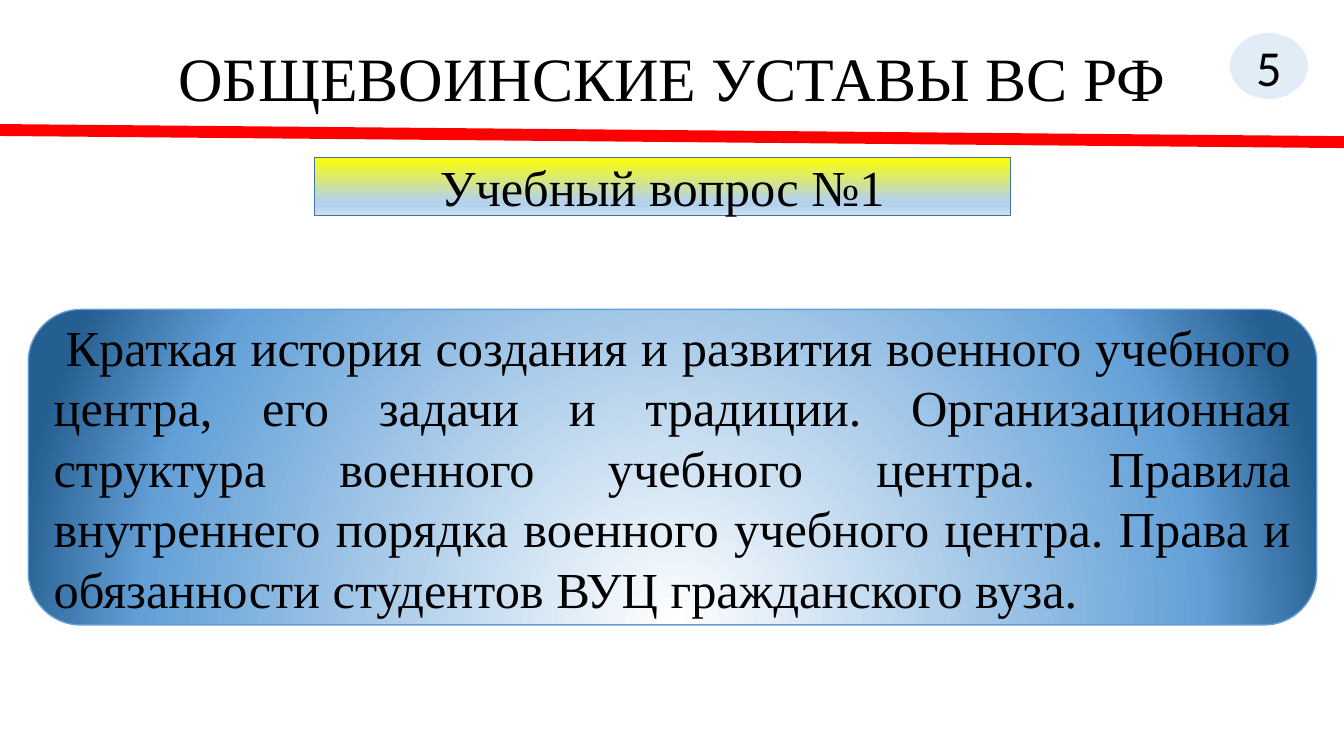
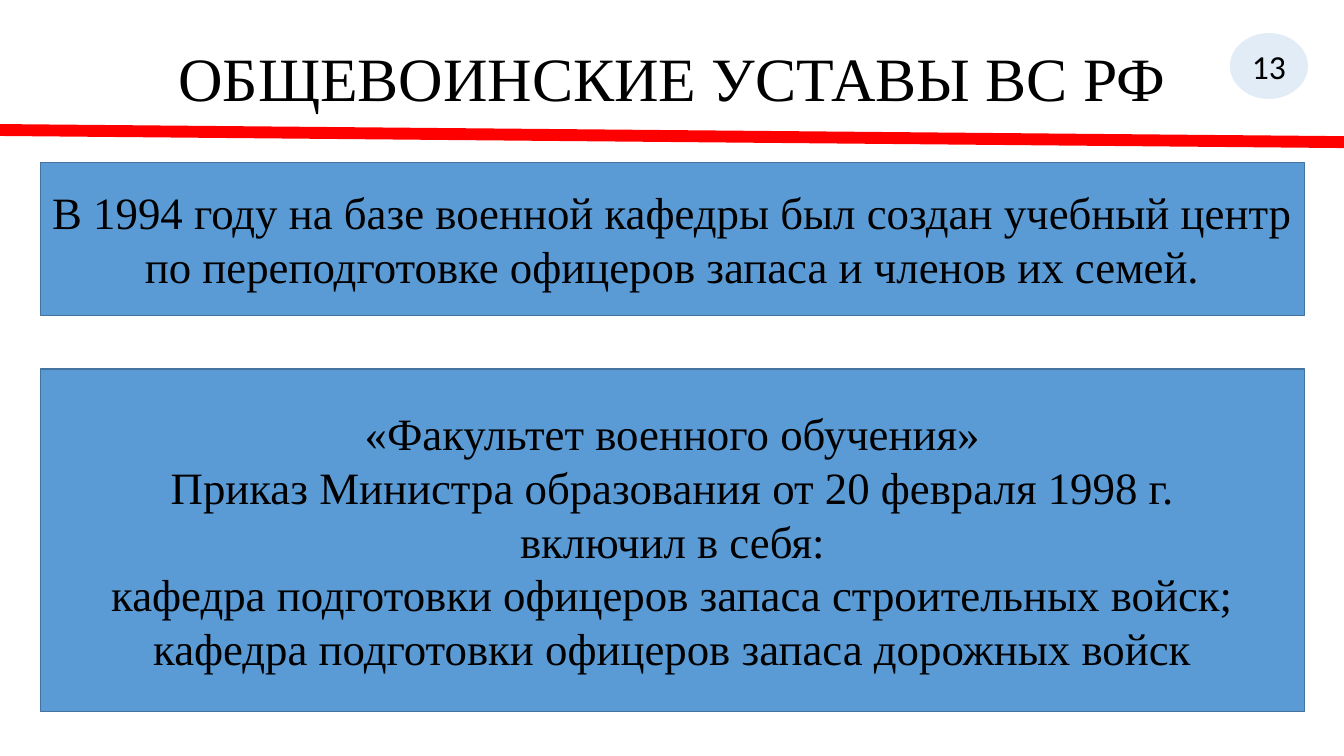
import pptx
import pptx.util
import pptx.dml.color
import pptx.enum.shapes
import pptx.enum.text
import pptx.oxml
import pptx.oxml.ns

Inches, Pt = pptx.util.Inches, pptx.util.Pt
RGBColor = pptx.dml.color.RGBColor
SHAPE = pptx.enum.shapes.MSO_SHAPE
ALIGN = pptx.enum.text.PP_ALIGN
MIDDLE = pptx.enum.text.MSO_ANCHOR.MIDDLE
qn = pptx.oxml.ns.qn

# Shared style
BLACK = RGBColor(0x00, 0x00, 0x00)
WHITE = RGBColor(0xFF, 0xFF, 0xFF)
RED = RGBColor(0xFF, 0x00, 0x00)
YELLOW = RGBColor(0xFF, 0xFF, 0x00)
BLUE = RGBColor(0x5B, 0x9B, 0xD5)
EDGE = RGBColor(0x43, 0x73, 0x9E)
SKY = RGBColor(0x63, 0xA0, 0xD7)
PALE = RGBColor(0xB5, 0xD2, 0xEC)
MIST = RGBColor(0xCE, 0xE1, 0xF2)
NAVY = RGBColor(0x25, 0x5E, 0x91)
SERIF, SANS = "Times New Roman", "Calibri"
TITLE = "ОБЩЕВОИНСКИЕ УСТАВЫ ВС РФ"

DOWNWARD = '<a:lin ang="5400000" scaled="0"/>'
RADIAL = ('<a:path path="circle"><a:fillToRect l="50000" t="130000" '
          'r="50000" b="-30000"/></a:path>')


class Deck:
    def __init__(self):
        self.prs = pptx.Presentation()
        self.prs.slide_width = Inches(13.33)
        self.prs.slide_height = Inches(7.5)
        self.s = None

    def slide(self, number, number_size):
        """Start a slide with its title, red rule and number badge."""
        self.s = self.prs.slides.add_slide(self.prs.slide_layouts[6])
        title = self.s.shapes.add_textbox(
            Inches(0.92), Inches(0.4), Inches(11.5), Inches(0.82))
        self.text(title, [TITLE], 44, line_spacing=0.9)
        self.rule()
        badge = self.box(SHAPE.OVAL, 12.19, 0.32, 0.79, 0.67, line=WHITE)
        color = badge._element.spPr.find(qn("a:solidFill"))[0]
        color.append(pptx.oxml.parse_xml(
            f'<a:alpha {pptx.oxml.ns.nsdecls("a")} val="18000"/>'))
        self.text(badge, [str(number)], number_size, font=SANS)

    def rule(self):
        line = self.s.shapes.add_connector(
            pptx.enum.shapes.MSO_CONNECTOR.STRAIGHT,
            0, Inches(1.29), Inches(13.33), Inches(1.41))
        line.line.color.rgb = RED
        line.line.width = Pt(8.5)
        line._element.spPr.append(pptx.oxml.parse_xml(
            f'<a:effectLst {pptx.oxml.ns.nsdecls("a")}/>'))

    def box(self, kind, x, y, w, h, line=EDGE):
        sp = self.s.shapes.add_shape(
            kind, Inches(x), Inches(y), Inches(w), Inches(h))
        sp.shadow.inherit = False
        sp.fill.solid()
        sp.fill.fore_color.rgb = BLUE
        sp.line.color.rgb = line
        sp.line.width = Pt(1)
        return sp

    def gradient(self, sp, stops, direction):
        gs = "".join(f'<a:gs pos="{pos * 1000}"><a:srgbClr val="{rgb}"/></a:gs>'
                     for pos, rgb in stops)
        spPr = sp._element.spPr
        spPr.replace(spPr.find(qn("a:solidFill")), pptx.oxml.parse_xml(
            f'<a:gradFill {pptx.oxml.ns.nsdecls("a")} rotWithShape="1">'
            f'<a:gsLst>{gs}</a:gsLst>{direction}</a:gradFill>'))

    def text(self, sp, lines, size, font=SERIF, indent=0, **para):
        tf = sp.text_frame
        tf.word_wrap = True
        tf.vertical_anchor = MIDDLE
        para = {"alignment": ALIGN.CENTER, **para}
        style = {"name": font, "size": Pt(size)}
        for i, line in enumerate(lines):
            p = tf.paragraphs[0] if i == 0 else tf.add_paragraph()
            p.text = line
            for key, value in para.items():
                setattr(p, key, value)
            if indent:
                p._p.get_or_add_pPr().set("indent", str(Inches(indent)))
            for r in p.runs:
                for key, value in style.items():
                    setattr(r.font, key, value)
                r.font.color.rgb = BLACK


def main():
    deck = Deck()

    # Study question
    deck.slide(5, 36)
    heading = deck.box(SHAPE.RECTANGLE, 3.12, 1.56, 6.9, 0.58)
    deck.gradient(heading, [(0, YELLOW), (74, PALE), (83, PALE), (100, MIST)],
                  DOWNWARD)
    deck.text(heading, ["Учебный вопрос №1"], 36)
    topic = deck.box(SHAPE.ROUNDED_RECTANGLE, 0.28, 3.07, 12.78, 3.13, line=SKY)
    deck.gradient(topic, [(0, WHITE), (80, SKY), (100, NAVY)], RADIAL)
    deck.text(topic, [
        "Краткая история создания и развития военного учебного центра, "
        "его задачи и традиции. Организационная структура военного учебного "
        "центра. Правила внутреннего порядка военного учебного центра. "
        "Права и обязанности студентов ВУЦ гражданского вуза."],
        36, indent=0.12, alignment=ALIGN.JUSTIFY)

    # History of the centre
    deck.slide(13, 24)
    history = [
        (1.61, 1.52, [
            "В 1994 году на базе военной кафедры был создан учебный центр "
            "по переподготовке офицеров запаса и членов их семей."]),
        (3.66, 3.4, [
            "«Факультет военного обучения»",
            "Приказ Министра образования от 20 февраля 1998 г.\n"
            "включил в себя:",
            "кафедра подготовки офицеров запаса строительных войск;",
            "кафедра подготовки офицеров запаса дорожных войск"]),
    ]
    for y, h, lines in history:
        deck.text(deck.box(SHAPE.RECTANGLE, 0.4, y, 12.54, h), lines, 32)

    deck.prs.save("out.pptx")


if __name__ == "__main__":
    main()
